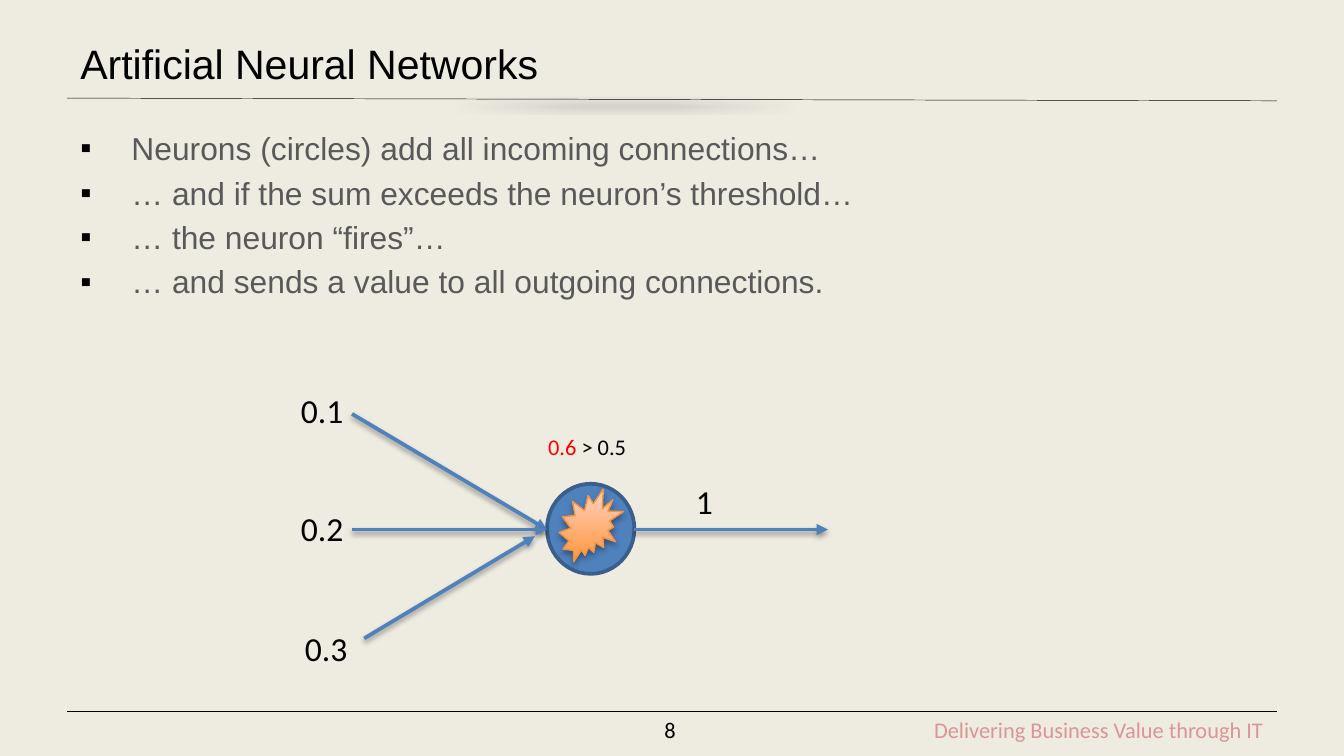
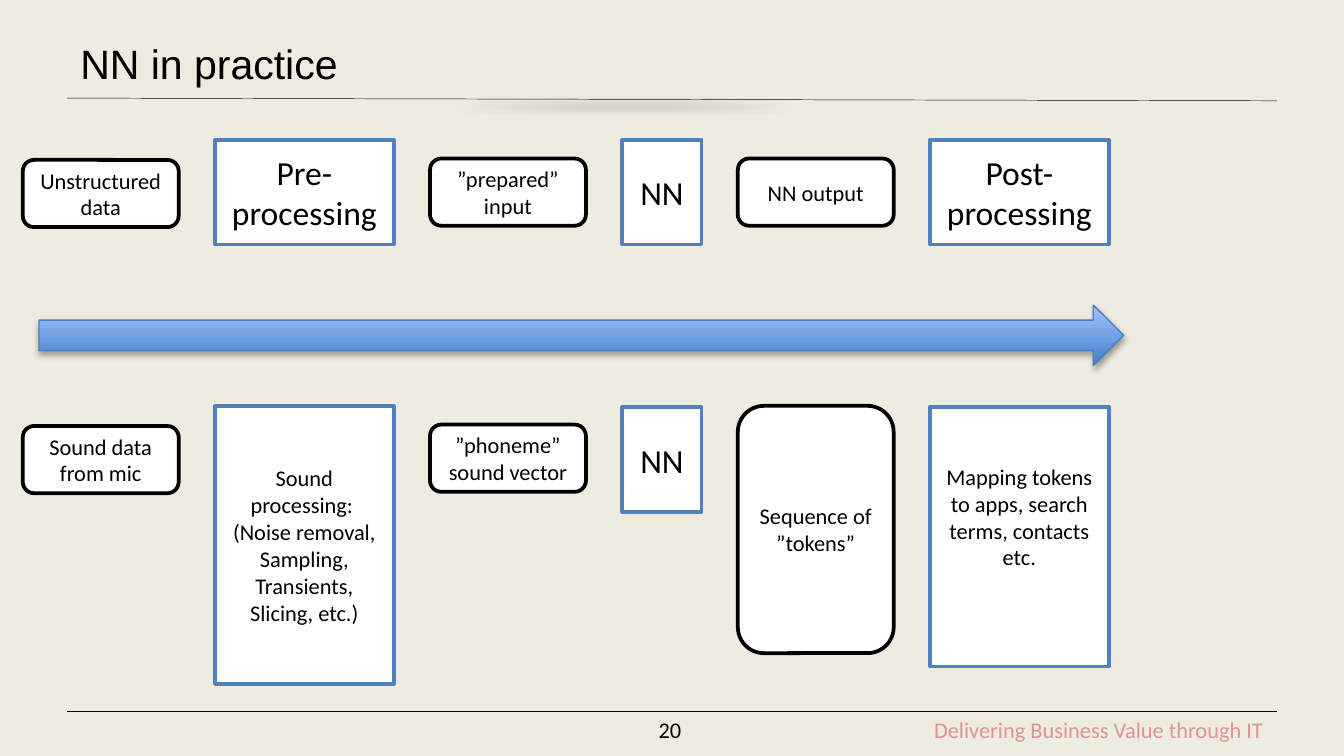
"""Build two slides about neural networks: a firing neuron and a processing pipeline."""
from dataclasses import dataclass

from lxml import etree
from pptx import Presentation
from pptx import util as u
from pptx.dml.color import RGBColor
from pptx.enum import shapes, text
from pptx.oxml.ns import qn

SHAPE = shapes.MSO_SHAPE
ALIGN = text.PP_ALIGN
ANCHOR = text.MSO_ANCHOR


@dataclass(frozen=True)
class Theme:
    paper: str = "EEECE1"
    white: str = "FFFFFF"
    ink: str = "000000"
    body: str = "595959"
    motto: str = "D99694"
    alert: str = "FF0000"
    blue: str = "4F81BD"
    navy: str = "3A5F8C"
    arrow_edge: str = "4B7EBC"
    arrow_fill: tuple = ("3F80CE", "A4C4FF")
    spark_edge: str = "F69240"
    spark_fill: tuple = ("FF953E", "FFD2BD")
    head_font: str = "Arial"
    text_font: str = "Calibri"
    title_size: int = 22
    label_size: int = 18
    body_size: int = 17
    small_size: int = 12
    hairline: float = 0.25
    thin: float = 0.75
    thick: float = 2
    rule_shadow: tuple = (43, 4, 3)
    line_shadow: tuple = (38, 3.1, 1.6)
    shape_shadow: tuple = (35, 3.1, 1.8)


def rgb(color):
    return RGBColor.from_string(color)


def add_node(parent, tag, **attrs):
    return etree.SubElement(parent, qn(tag), {k: str(v) for k, v in attrs.items()})


def set_shadow(sp, shadow, color):
    effects = add_node(sp._element.spPr, "a:effectLst")
    if shadow:
        alpha, blur, dist = shadow
        outer = add_node(effects, "a:outerShdw", blurRad=u.Pt(blur), dist=u.Pt(dist),
                         dir=5400000, rotWithShape=0)
        add_node(add_node(outer, "a:srgbClr", val=color), "a:alpha", val=alpha * 1000)


def write(tf, content, *, size, color, font, align=ALIGN.LEFT, anchor=ANCHOR.TOP,
          bullet=None, indent=0.38, before=0):
    tf.word_wrap = True
    tf.vertical_anchor = anchor
    paragraphs = [content] if isinstance(content, str) else content
    for i, runs in enumerate(paragraphs):
        p = tf.paragraphs[0] if i == 0 else tf.add_paragraph()
        p.alignment = align
        p.space_before = u.Pt(before)
        if bullet:
            pPr = p._p.get_or_add_pPr()
            pPr.set("marL", str(u.Inches(indent)))
            pPr.set("indent", str(-u.Inches(indent)))
            add_node(add_node(pPr, "a:buClr"), "a:srgbClr", val=Theme.ink)
            add_node(pPr, "a:buFont", typeface=font)
            add_node(pPr, "a:buChar", char=bullet)
        for words, run_color in [(runs, color)] if isinstance(runs, str) else runs:
            r = p.add_run()
            r.text = words
            r.font.size = u.Pt(size)
            r.font.name = font
            r.font.color.rgb = rgb(run_color)


class Deck:
    def __init__(self, theme):
        self.t = theme
        self.prs = Presentation()
        self.prs.slide_width = u.Inches(10)
        self.prs.slide_height = u.Inches(10) * 9 // 16
        self.s = None

    def slide(self, title, number):
        t = self.t
        self.s = self.prs.slides.add_slide(self.prs.slide_layouts[6])
        self.s.background.fill.solid()
        self.s.background.fill.fore_color.rgb = rgb(t.paper)
        for start, end in ((0.73, 0.75), (5.29, 5.29)):
            self.line((0.5, start), (9.5, end), color=t.ink, width=t.hairline,
                      shadow=t.rule_shadow)
        self.text((6.63, 5.28, 2.87, 0.3), "Delivering Business Value through IT",
                  color=t.motto, align=ALIGN.RIGHT)
        self.text((0.5, 0.21, 7.56, 0.52), title, size=t.title_size,
                  font=t.head_font, anchor=ANCHOR.MIDDLE)
        self.text((3.82, 5.28, 2.33, 0.3), str(number), align=ALIGN.CENTER)

    def formatted(self, tf, content, **fmt):
        defaults = dict(size=self.t.small_size, color=self.t.ink, font=self.t.text_font)
        write(tf, content, **{**defaults, **fmt})

    def text(self, at, content, **fmt):
        sp = self.s.shapes.add_textbox(*map(u.Inches, at))
        self.formatted(sp.text_frame, content, **fmt)

    def line(self, start, end, *, color, width, shadow=None, arrow=False):
        sp = self.s.shapes.add_connector(shapes.MSO_CONNECTOR.STRAIGHT,
                                         *map(u.Inches, (*start, *end)))
        sp.line.color.rgb = rgb(color)
        sp.line.width = u.Pt(width)
        if arrow:
            add_node(sp._element.spPr.find(qn("a:ln")), "a:tailEnd", type="triangle")
        set_shadow(sp, shadow, self.t.ink)

    def shape(self, kind, at, *, fill, edge, width, shadow=None, group=None):
        sp = (group or self.s).shapes.add_shape(kind, *map(u.Inches, at))
        if isinstance(fill, tuple):
            sp.fill.gradient()
            sp.fill.gradient_angle = 90
            for stop, color in zip(sp.fill.gradient_stops, fill):
                stop.color.rgb = rgb(color)
        else:
            sp.fill.solid()
            sp.fill.fore_color.rgb = rgb(fill)
        sp.line.color.rgb = rgb(edge)
        sp.line.width = u.Pt(width)
        set_shadow(sp, shadow, self.t.ink)
        return sp

    def box(self, at, content, *, group, is_data, size, lift=0):
        t = self.t
        sp = self.shape(SHAPE.ROUNDED_RECTANGLE if is_data else SHAPE.RECTANGLE, at,
                        fill=t.white, edge=t.ink if is_data else t.blue,
                        width=t.thick, group=group)
        sp.text_frame.margin_bottom = u.Inches(0.05 + lift)
        self.formatted(sp.text_frame, content, size=size, align=ALIGN.CENTER,
                       anchor=ANCHOR.MIDDLE)


def neuron_slide(deck):
    t = deck.t
    deck.slide("Artificial Neural Networks", 8)
    deck.text((0.5, 0.91, 9, 4.23), [
        "Neurons (circles) add all incoming connections…",
        "… and if the sum exceeds the neuron’s threshold…",
        "… the neuron “fires”…",
        "… and sends a value to all outgoing connections.",
    ], size=t.body_size, color=t.body, font=t.head_font, bullet="▪", before=3.4)

    deck.shape(SHAPE.OVAL, (4.07, 3.6, 0.65, 0.67), fill=t.blue, edge=t.navy, width=t.thick)
    for start, end in (((2.62, 3.08), (4.07, 3.94)), ((2.62, 3.94), (4.07, 3.94)),
                       ((2.71, 4.75), (3.98, 3.99)), ((4.72, 3.94), (6.16, 3.94))):
        deck.line(start, end, color=t.blue, width=t.thick, shadow=t.line_shadow, arrow=True)
    for left, top, value in ((2.14, 2.85, "0.1"), (2.14, 3.73, "0.2"),
                             (2.17, 4.62, "0.3"), (5.08, 3.53, "1")):
        deck.text((left, top, 0.52, 0.71), value, size=t.label_size)
    deck.text((3.98, 3.17, 0.99, 0.61), [[("0.6", t.alert), (" > 0.5", t.ink)]])
    deck.shape(SHAPE.EXPLOSION2, (4.16, 3.64, 0.48, 0.54), fill=t.spark_fill,
               edge=t.spark_edge, width=t.thin, shadow=t.shape_shadow)


def pipeline_row(deck, top, steps):
    group = deck.s.shapes.add_group_shape()
    left, gap = 0.17, 0.27
    widths = (1.16, 1.33, 1.16, 0.59, 1.16, 1.33)
    for i, (width, step) in enumerate(zip(widths, steps)):
        content, drop, height, size, *lift = step
        deck.box((left, top + drop, width, height), content, group=group,
                 is_data=i % 2 == 0, size=size, lift=sum(lift))
        left += width + gap


def practice_slide(deck):
    t = deck.t
    small, large = t.small_size, t.label_size
    deck.slide("NN in practice", 20)
    pipeline_row(deck, 1.04, [
        ("Unstructured data", 0.15, 0.5, small),
        ("Pre-processing", 0, 0.78, large),
        ("”prepared” input", 0.14, 0.5, small),
        ("NN", 0, 0.78, large),
        ("NN output", 0.14, 0.5, small),
        ("Post-processing ", 0, 0.78, large),
    ])
    deck.shape(SHAPE.RIGHT_ARROW, (0.29, 2.27, 8.07, 0.45), fill=t.arrow_fill,
               edge=t.arrow_edge, width=t.thin, shadow=t.shape_shadow)
    pipeline_row(deck, 3.02, [
        ("Sound data from mic", 0.15, 0.5, small),
        (["Sound processing: ", "(Noise removal, Sampling, Transients, Slicing, etc.)"],
         0, 2.07, small),
        ("”phoneme” sound vector", 0.14, 0.5, small),
        ("NN", 0.01, 0.78, large),
        ("Sequence of ”tokens”", 0, 1.84, small),
        ("Mapping tokens to apps, search terms, contacts etc.", 0.01, 1.93, small, 0.3),
    ])


def main():
    deck = Deck(Theme())
    neuron_slide(deck)
    practice_slide(deck)
    deck.prs.save("out.pptx")


if __name__ == "__main__":
    main()
